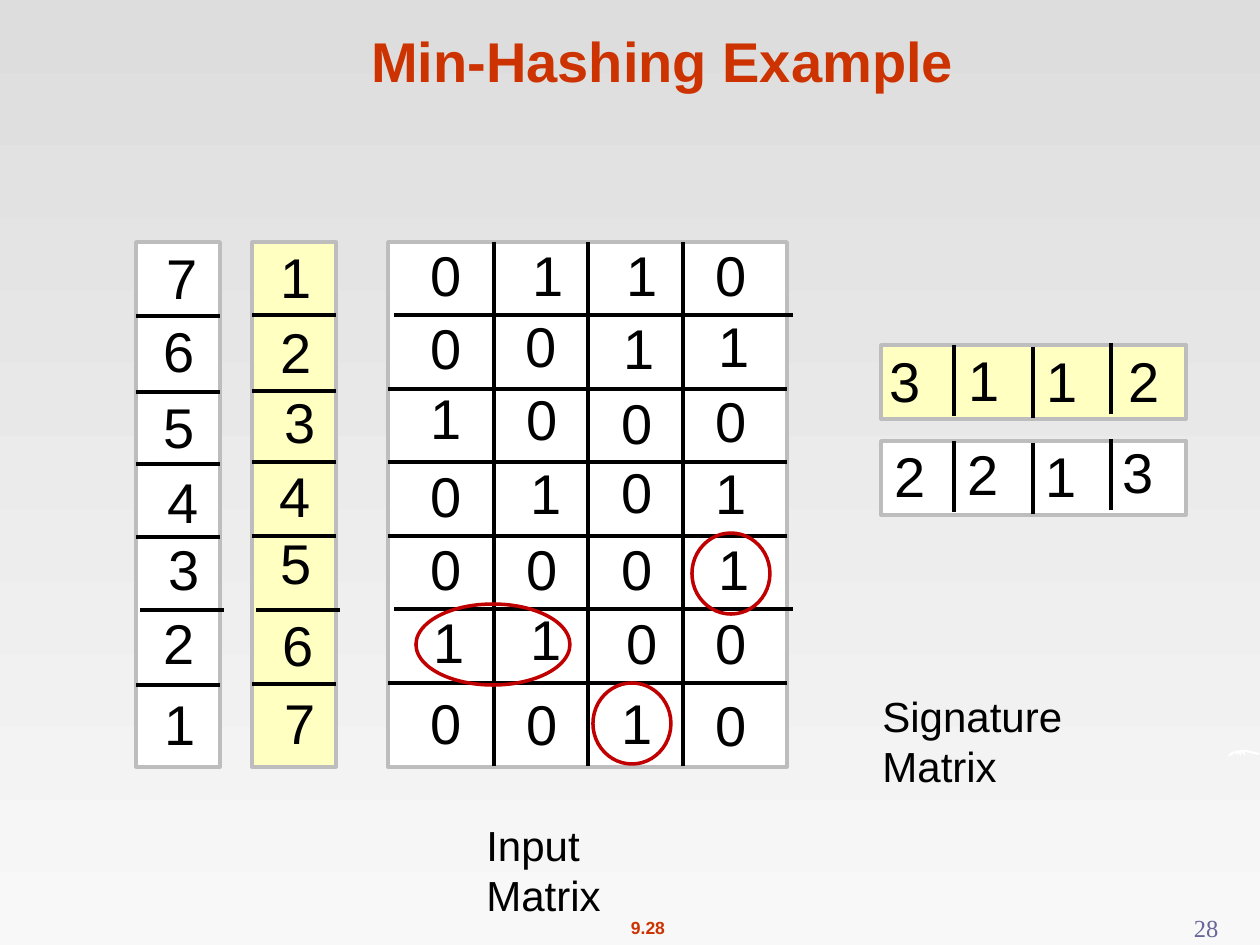
"""Build the Min-Hashing example slide."""
from lxml import etree
from pptx import Presentation
from pptx.dml.color import RGBColor
from pptx.enum.shapes import MSO_CONNECTOR, MSO_SHAPE
from pptx.enum.text import MSO_ANCHOR, MSO_AUTO_SIZE, PP_ALIGN
from pptx.oxml.ns import qn
from pptx.util import Pt

SCALE = 914400 / 126
STRAIGHT = MSO_CONNECTOR.STRAIGHT
RECTANGLE, OVAL = MSO_SHAPE.RECTANGLE, MSO_SHAPE.OVAL
LEFT, CENTER, RIGHT = PP_ALIGN.LEFT, PP_ALIGN.CENTER, PP_ALIGN.RIGHT
BOTTOM = MSO_ANCHOR.BOTTOM
NO_FIT, GROW = MSO_AUTO_SIZE.NONE, MSO_AUTO_SIZE.SHAPE_TO_FIT_TEXT

BLACK = RGBColor(0x00, 0x00, 0x00)
WHITE = RGBColor(0xFF, 0xFF, 0xFF)
YELLOW = RGBColor(0xFF, 0xFF, 0xC2)
GREY = RGBColor(0xBD, 0xBD, 0xBD)
RED = RGBColor(0xC0, 0x00, 0x00)
ORANGE = RGBColor(0xCC, 0x33, 0x00)
VIOLET = RGBColor(0x66, 0x66, 0x99)
SKY_TOP = RGBColor(0xDD, 0xDD, 0xDD)
SKY_BOTTOM = RGBColor(0xF8, 0xF8, 0xF8)

DIGIT_WIDTHS = {"1": 50, "3": 52, "7": 49}
SHIFTED_RULE = 4
SWOOSH = [(1228, 757), (1230, 753), (1235, 751), (1241, 750), (1247, 750),
          (1255, 752), (1260, 753), (1258, 755), (1250, 753), (1245, 752),
          (1245, 756), (1241, 752), (1241, 756), (1237, 752), (1238, 756),
          (1235, 753), (1230, 756)]
MATRIX = [
    ("0110", (418, 520, 614, 703), (234, 234, 234, 234)),
    ("0011", (418, 513, 611, 706), (307, 305, 307, 305)),
    ("1000", (418, 514, 609, 703), (377, 378, 382, 380)),
    ("0101", (418, 518, 609, 703), (455, 452, 451, 452)),
    ("0001", (418, 514, 609, 706), (528, 528, 528, 528)),
    ("1100", (421, 518, 614, 703), (601, 598, 602, 602)),
    ("0010", (418, 514, 609, 703), (682, 683, 682, 684)),
]
PERMUTATIONS = [
    (136, WHITE, (316, 392, 464, 537, 610, 685), "7654321",
     (154, 151, 151, 155, 156, 151, 152), (237, 310, 386, 461, 528, 602, 683)),
    (252, YELLOW, (315, 391, 462, 536, 610, 684), "1234567",
     (268, 268, 272, 267, 268, 270, 272), (236, 311, 381, 455, 522, 604, 682)),
]
SIGNATURES = [
    (441, WHITE, "2213", (882, 955, 1033, 1110), (435, 433, 435, 431)),
    (345, YELLOW, "3112", (877, 956, 1034, 1116), (340, 339, 340, 340)),
]
CIRCLES = [(416, 604, 154, 81), (593, 683, 78, 81), (692, 533, 78, 81)]


def emu(*lengths):
    return [round(length * SCALE) for length in lengths]


def write(frame, text, size=32, color=BLACK, font="Arial", bold=False, align=LEFT):
    para = frame.paragraphs[0]
    para.alignment = align
    span = para.add_run()
    span.text = text
    span.font.size = Pt(size)
    span.font.name = font
    span.font.bold = bold
    span.font.color.rgb = color


class Sketch:
    """Draws styled elements on one slide."""

    def __init__(self, page, rule_width=2.25, border_width=2):
        self.page = page
        self.rule_width = Pt(rule_width)
        self.border_width = Pt(border_width)

    def backdrop(self, first, last):
        fill = self.page.background.fill
        fill.gradient()
        fill.gradient_angle = 270
        for stop, color, position in zip(fill.gradient_stops, (first, last), (0, 1)):
            stop.color.rgb = color
            stop.position = position

    def title(self, text, left, top, width, height):
        box = self.page.shapes.title
        box.left, box.top, box.width, box.height = emu(left, top, width, height)
        box.text_frame.vertical_anchor = BOTTOM
        box.text_frame.auto_size = NO_FIT
        write(box.text_frame, text, color=ORANGE, bold=True, align=CENTER)

    def label(self, text, left, top, width, height, wrap=True, **style):
        box = self.page.shapes.add_textbox(*emu(left, top, width, height))
        box.text_frame.word_wrap = wrap
        box.text_frame.auto_size = NO_FIT if wrap else GROW
        write(box.text_frame, text, **style)

    def digits(self, text, lefts, tops):
        for digit, left, top in zip(text, lefts, tops):
            self.label(digit, left, top, DIGIT_WIDTHS.get(digit, 54), 81, wrap=False)

    def outline(self, kind, left, top, width, height, line, fill=None):
        shape = self.page.shapes.add_shape(kind, *emu(left, top, width, height))
        shape.shadow.inherit = False
        shape.line.color.rgb = line
        shape.line.width = self.border_width
        if fill is None:
            shape.fill.background()
        else:
            shape.fill.solid()
            shape.fill.fore_color.rgb = fill

    def rule(self, x1, y1, x2, y2):
        line = self.page.shapes.add_connector(STRAIGHT, *emu(x1, y1, x2, y2))
        line.line.color.rgb = BLACK
        line.line.width = self.rule_width
        etree.SubElement(line._element.spPr, qn("a:effectLst"))

    def swoosh(self, points):
        builder = self.page.shapes.build_freeform(*points[0], scale=SCALE)
        builder.add_line_segments(points[1:])
        shape = builder.convert_to_shape()
        shape.shadow.inherit = False
        shape.fill.solid()
        shape.fill.fore_color.rgb = WHITE
        shape.line.fill.background()


def main():
    deck = Presentation()
    deck.slide_width, deck.slide_height = emu(1260, 945)
    sketch = Sketch(deck.slides.add_slide(deck.slide_layouts[5]))
    sketch.backdrop(SKY_TOP, SKY_BOTTOM)
    sketch.label("9.28", 617, 911, 62, 34, wrap=False, size=10, color=ORANGE,
                 bold=True, align=CENTER)
    sketch.swoosh(SWOOSH)
    sketch.title("Min-Hashing Example", 106, 16, 1113, 84)
    sketch.label("28", 1130, 907, 101, 38, size=14, color=VIOLET,
                 font="Times New Roman", align=RIGHT)

    sketch.outline(RECTANGLE, 388, 242, 399, 525, GREY, WHITE)
    for index in range(6):
        y = 315 + index * 73.6
        shift = 6 if index in (0, SHIFTED_RULE) else 0
        sketch.rule(388 + shift, y, 787 + shift, y)
    for x in (588, 494, 683):
        sketch.rule(x, 242, x, 766)
    for row in MATRIX:
        sketch.digits(*row)

    for left, fill, rules, text, lefts, tops in PERMUTATIONS:
        sketch.outline(RECTANGLE, left, 242, 84, 525, GREY, fill)
        for index, y in enumerate(rules):
            shift = 4 if index == SHIFTED_RULE else 0
            sketch.rule(left + shift, y, left + 84 + shift, y)
        sketch.digits(text, lefts, tops)

    for top, fill, text, lefts, tops in SIGNATURES:
        sketch.outline(RECTANGLE, 881, top, 305, 74, GREY, fill)
        for x, shift in ((954, 0), (1033, 2), (1111, -2)):
            sketch.rule(x, top + shift, x, top + shift + 71)
        sketch.digits(text, lefts, tops)

    sketch.label("Input Matrix", 474, 813, 239, 63, size=24)
    sketch.label("Signature Matrix", 870, 684, 319, 63, size=24)
    for circle in CIRCLES:
        sketch.outline(OVAL, *circle, RED)
    deck.save("out.pptx")


if __name__ == "__main__":
    main()
